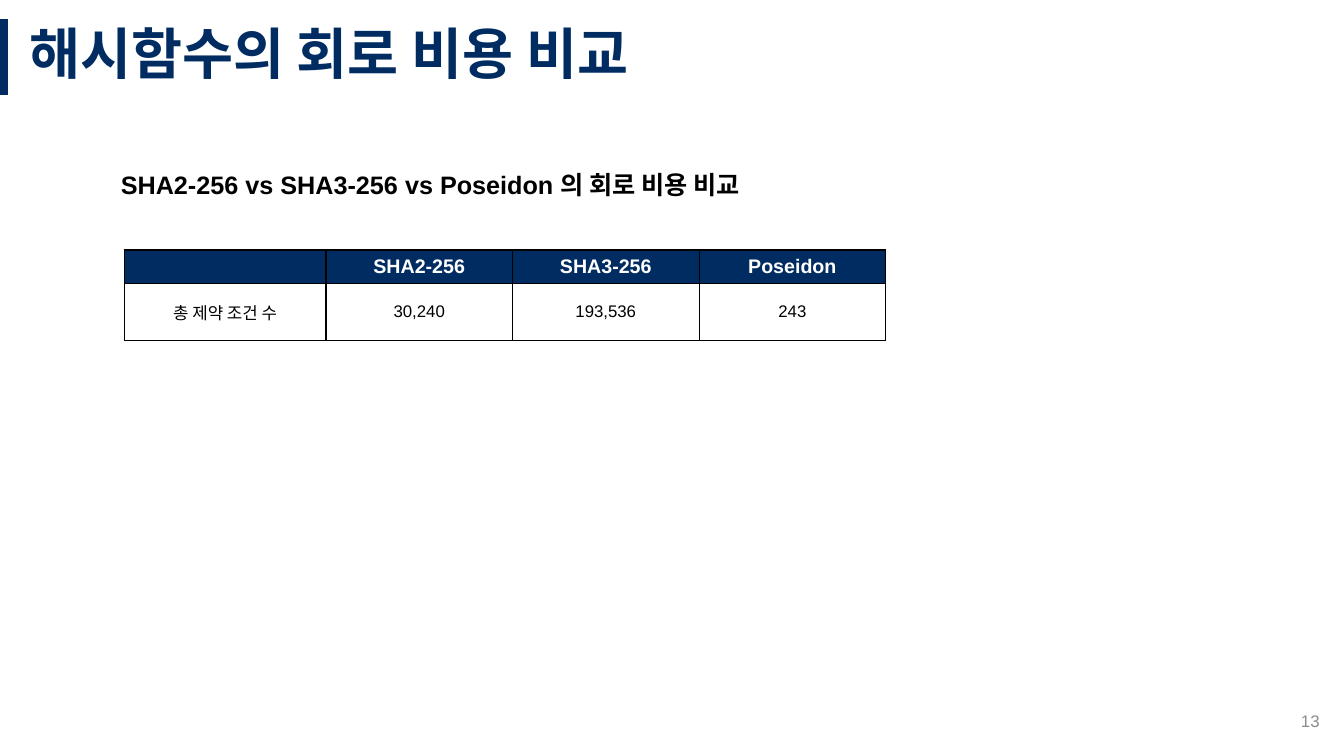
"""Build a slide comparing the circuit cost of three hash functions."""
from dataclasses import dataclass

from lxml import etree
from pptx import Presentation
from pptx.dml import color
from pptx.enum import shapes, text
from pptx.oxml import ns
from pptx.util import Pt


@dataclass(frozen=True)
class Theme:
    font: str = "Arial"
    navy: str = "002C62"
    black: str = "000000"
    white: str = "FFFFFF"
    gray: str = "8C8C8C"
    title_size: float = 39.6
    heading_size: float = 18
    header_size: float = 14
    body_size: float = 12
    border_width: float = 1


@dataclass(frozen=True)
class Style:
    size: float
    color: str
    bold: bool = False
    align: text.PP_ALIGN = text.PP_ALIGN.LEFT


@dataclass(frozen=True)
class Frame:
    left: float
    top: float
    width: float
    height: float


@dataclass(frozen=True)
class TableRow:
    height: float
    fill: str
    style: Style
    labels: tuple[str, ...]


THEME = Theme()
CENTER = text.PP_ALIGN.CENTER
TITLE = Style(THEME.title_size, THEME.navy, True)
HEADING = Style(THEME.heading_size, THEME.black, True)
PAGE_NUMBER = Style(THEME.body_size, THEME.gray, align=text.PP_ALIGN.RIGHT)
COLUMN_WIDTHS = (144, 133.3, 133.3, 133.3)
ROWS = (
    TableRow(23.4, THEME.navy, Style(THEME.header_size, THEME.white, True, CENTER),
             ("", "SHA2-256", "SHA3-256", "Poseidon")),
    TableRow(40.3, THEME.white, Style(THEME.body_size, THEME.black, False, CENTER),
             ("총 제약 조건 수", "30,240", "193,536", "243")),
)


def write(frame, words: str, style: Style) -> None:
    """Write one styled paragraph into a text frame."""
    para = frame.paragraphs[0]
    para.alignment = style.align
    if not words:
        end = etree.SubElement(para._p, ns.qn("a:endParaRPr"))
        end.set("sz", str(round(style.size * 100)))
        return
    span = para.add_run()
    span.text = words
    span.font.name = THEME.font
    span.font.size = Pt(style.size)
    span.font.bold = style.bold
    span.font.color.rgb = color.RGBColor.from_string(style.color)


def add_title(page, words: str, place: Frame) -> None:
    """Place and format the title placeholder."""
    title = page.shapes.title
    title.left, title.top = Pt(place.left), Pt(place.top)
    title.width, title.height = Pt(place.width), Pt(place.height)
    title.text_frame.auto_size = text.MSO_AUTO_SIZE.NONE
    title.text_frame.vertical_anchor = text.MSO_ANCHOR.MIDDLE
    write(title.text_frame, words, TITLE)
    title.text_frame.paragraphs[0].line_spacing = 0.9


def add_text(page, words: str, place: Frame, style: Style, anchor: text.MSO_ANCHOR) -> None:
    """Add a wrapping text box."""
    box = page.shapes.add_textbox(
        Pt(place.left), Pt(place.top), Pt(place.width), Pt(place.height))
    box.text_frame.word_wrap = True
    box.text_frame.vertical_anchor = anchor
    write(box.text_frame, words, style)


def add_accent(page, x: float, top: float, bottom: float) -> None:
    """Draw the thick line beside the title."""
    accent = page.shapes.add_connector(
        shapes.MSO_CONNECTOR.STRAIGHT, Pt(x), Pt(top), Pt(x), Pt(bottom))
    accent.line.width = Pt(6)
    accent.line.color.rgb = color.RGBColor.from_string(THEME.navy)
    etree.SubElement(accent._element.spPr, ns.qn("a:effectLst"))


def add_borders(cell) -> None:
    """Draw all four borders of a table cell."""
    properties = cell._tc.get_or_add_tcPr()
    for index, side in enumerate(("lnL", "lnR", "lnT", "lnB")):
        line = etree.Element(ns.qn(f"a:{side}"), w=str(Pt(THEME.border_width)))
        fill = etree.SubElement(line, ns.qn("a:solidFill"))
        etree.SubElement(fill, ns.qn("a:srgbClr"), val=THEME.black)
        properties.insert(index, line)


def add_cost_table(page, left: float, top: float) -> None:
    """Add the table of constraint counts."""
    width, height = sum(COLUMN_WIDTHS), sum(row.height for row in ROWS)
    table = page.shapes.add_table(
        len(ROWS), len(COLUMN_WIDTHS), Pt(left), Pt(top), Pt(width), Pt(height)).table
    table.first_row = table.horz_banding = False
    for column, column_width in zip(table.columns, COLUMN_WIDTHS):
        column.width = Pt(column_width)
    for table_row, row in zip(table.rows, ROWS):
        table_row.height = Pt(row.height)
        for cell, label in zip(table_row.cells, row.labels):
            cell.vertical_anchor = text.MSO_ANCHOR.MIDDLE
            cell.fill.solid()
            cell.fill.fore_color.rgb = color.RGBColor.from_string(row.fill)
            add_borders(cell)
            write(cell.text_frame, label, row.style)


def main() -> None:
    """Create and save the deck."""
    deck = Presentation()
    deck.slide_width, deck.slide_height = Pt(960), Pt(540)
    page = deck.slides.add_slide(deck.slide_layouts.get_by_name("Title Only"))
    add_accent(page, 2.9, 13.7, 67.7)
    add_title(page, "해시함수의 회로 비용 비교", Frame(13.7, 13.7, 946.3, 54))
    add_text(page, "13", Frame(733.7, 500.4, 216, 28.8), PAGE_NUMBER, text.MSO_ANCHOR.MIDDLE)
    add_cost_table(page, 88.8, 178.6)
    add_text(page, "SHA2-256 vs SHA3-256 vs Poseidon 의 회로 비용 비교",
             Frame(79.2, 117.4, 870.5, 28.8), HEADING, text.MSO_ANCHOR.TOP)
    deck.save("out.pptx")


if __name__ == "__main__":
    main()
